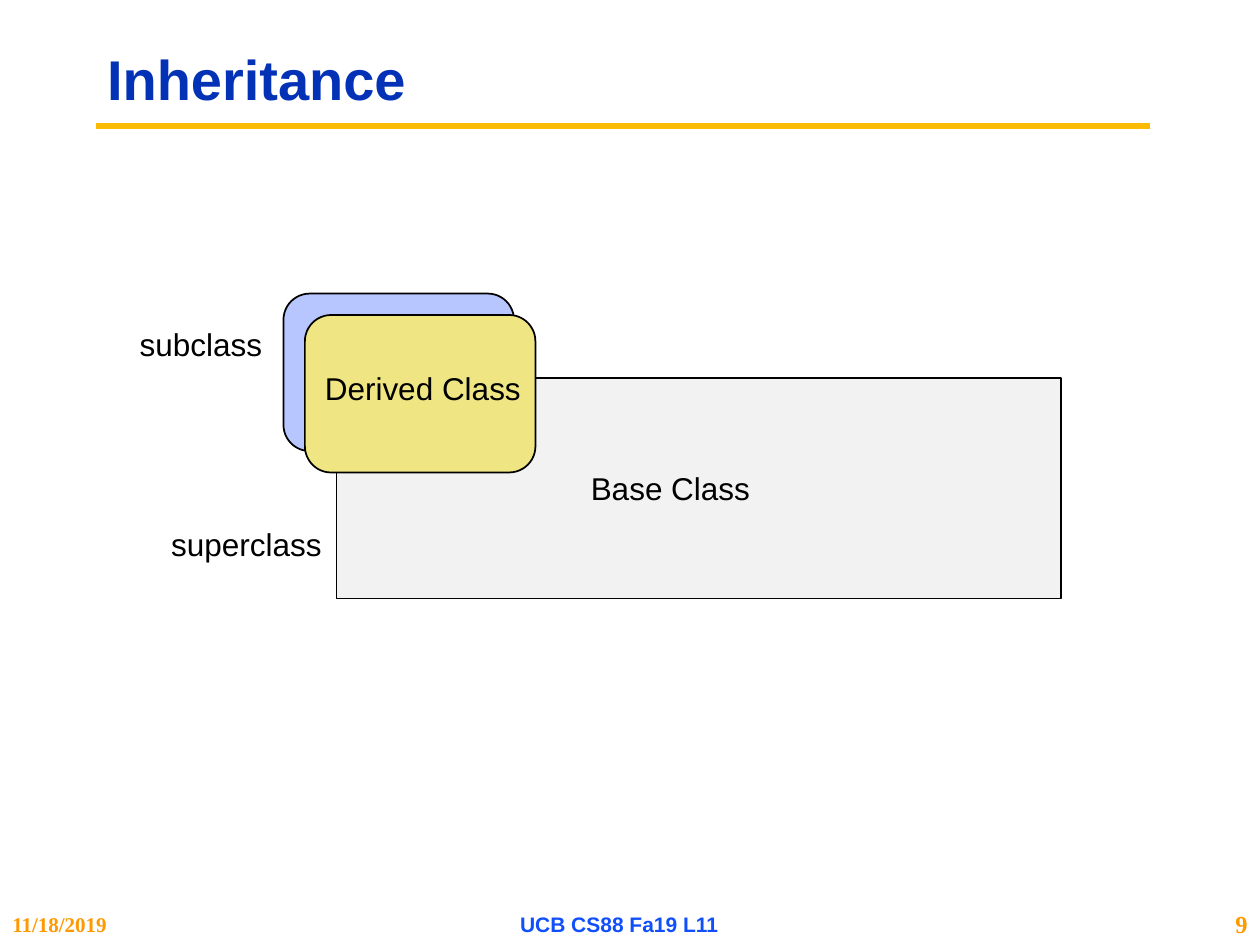
from pptx import Presentation, util as u
from pptx.dml.color import RGBColor
from pptx.enum import shapes, text
from pptx.oxml.ns import qn
from lxml import etree

HUES = {
    "gold": "FBBA03", "navy": "0332B7", "blue": "114FFB", "amber": "FF9900",
    "black": "000000", "grey": "F2F2F2", "lilac": "B7C6FE", "straw": "EFE683",
}
MID = text.MSO_ANCHOR.MIDDLE
LEFT, CENTER, RIGHT = text.PP_ALIGN.LEFT, text.PP_ALIGN.CENTER, text.PP_ALIGN.RIGHT

deck = Presentation()
deck.slide_width, deck.slide_height = u.Inches(10), u.Inches(7.5)
slide = deck.slides.add_slide(deck.slide_layouts[5])


def write(words, box, item=None, size=18, font="Arial", hue="black", bold=False,
          align=LEFT, anchor=text.MSO_ANCHOR.TOP, wrap=False, space=1.0):
    place = [u.Inches(n) for n in box]
    item = item or slide.shapes.add_textbox(*place)
    item.left, item.top, item.width, item.height = place
    frame = item.text_frame
    frame.auto_size = text.MSO_AUTO_SIZE.NONE
    frame.word_wrap = wrap
    frame.vertical_anchor = anchor
    para = frame.paragraphs[0]
    para.alignment, para.line_spacing = align, space
    run = para.add_run()
    run.text = words
    run.font.size, run.font.name, run.font.bold = u.Pt(size), font, bold
    run.font.color.rgb = RGBColor.from_string(HUES[hue])


rule = slide.shapes.add_connector(
    shapes.MSO_CONNECTOR.STRAIGHT,
    u.Inches(0.76), u.Inches(1), u.Inches(9.13), u.Inches(1))
rule.line.color.rgb = RGBColor.from_string(HUES["gold"])
rule.line.width = u.Pt(3.75)
etree.SubElement(rule._element.spPr, qn("a:effectLst"))

write("Inheritance", (0.75, 0.25, 8.42, 0.81), item=slide.shapes.title, size=32,
      hue="navy", bold=True, anchor=MID, wrap=True, space=0.9)

RECT, ROUND = shapes.MSO_SHAPE.RECTANGLE, shapes.MSO_SHAPE.ROUNDED_RECTANGLE
for kind, hue, box in (
    (RECT, "grey", (2.67, 3, 5.75, 1.75)),
    (ROUND, "lilac", (2.25, 2.33, 1.83, 1.25)),
    (ROUND, "straw", (2.42, 2.5, 1.83, 1.25)),
):
    block = slide.shapes.add_shape(kind, *[u.Inches(n) for n in box])
    block.shadow.inherit = False
    block.fill.solid()
    block.fill.fore_color.rgb = RGBColor.from_string(HUES[hue])
    block.line.color.rgb = RGBColor.from_string(HUES["black"])
    block.line.width = u.Pt(1)

for words, box in (
    ("Base Class", (4.59, 3.67, 1.48, 0.4)),
    ("Derived Class", (2.48, 2.88, 1.77, 0.4)),
    ("subclass", (1.01, 2.53, 1.18, 0.4)),
    ("superclass", (1.26, 4.12, 1.41, 0.4)),
):
    write(words, box)

for words, left, width, size, font, hue, align in (
    ("11/18/2019", 0, 1.67, 12, "Times New Roman", "amber", LEFT),
    ("UCB CS88 Fa19 L11", 3.33, 3.17, 12, "Arial", "blue", CENTER),
    ("9", 9.42, 0.58, 14, "Times New Roman", "amber", RIGHT),
):
    write(words, (left, 7.17, width, 0.33), size=size, font=font, hue=hue,
          bold=True, align=align, anchor=MID, wrap=True)

deck.save("out.pptx")
